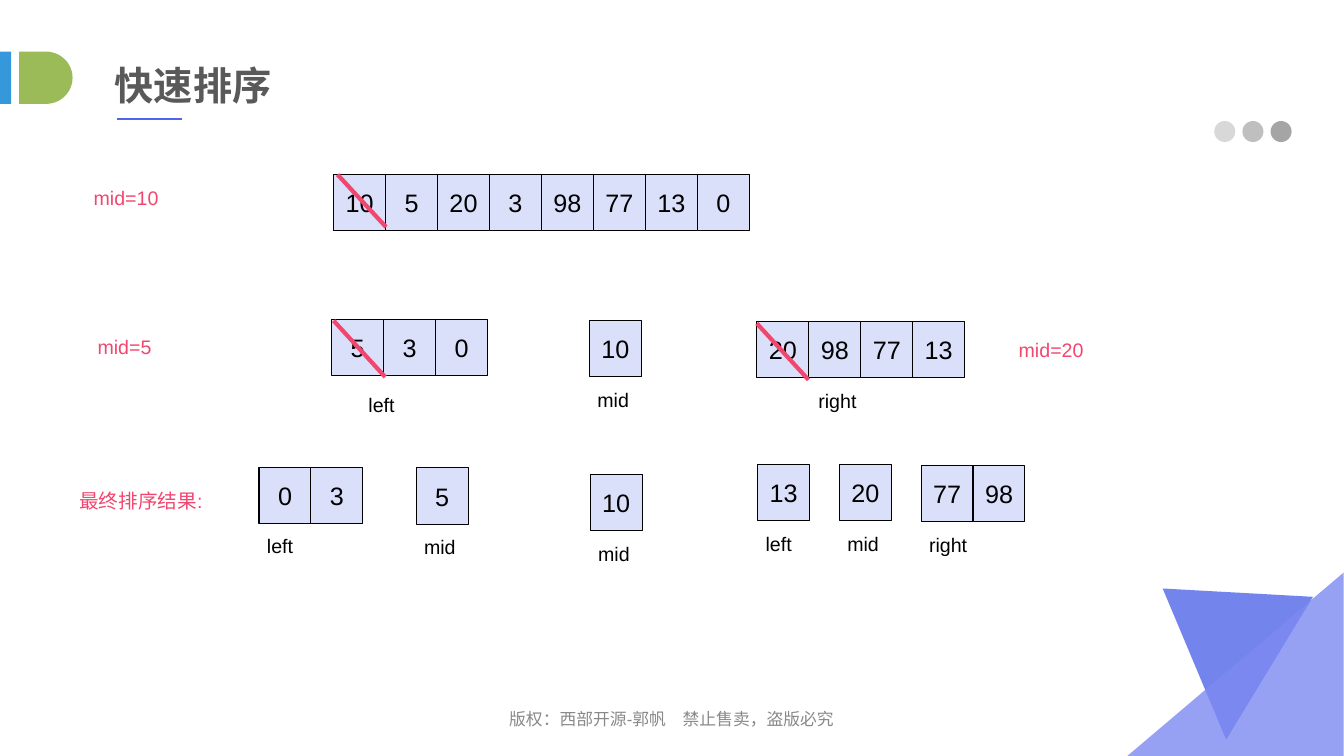
from pptx import Presentation
from pptx.dml.color import RGBColor
from pptx.enum.shapes import MSO_CONNECTOR, MSO_SHAPE
from pptx.enum.text import MSO_ANCHOR, MSO_AUTO_SIZE, PP_ALIGN
from pptx.oxml.ns import qn
from pptx.oxml.xmlchemy import OxmlElement
from pptx.util import Cm, Pt

RECTANGLE, DELAY, OVAL = MSO_SHAPE.RECTANGLE, MSO_SHAPE.FLOWCHART_DELAY, MSO_SHAPE.OVAL
STRAIGHT = MSO_CONNECTOR.STRAIGHT
LEFT, CENTER = PP_ALIGN.LEFT, PP_ALIGN.CENTER
TOP, MIDDLE = MSO_ANCHOR.TOP, MSO_ANCHOR.MIDDLE
NO_AUTOFIT = MSO_AUTO_SIZE.NONE
TITLE_ONLY = 5

BLACK = RGBColor(0x00, 0x00, 0x00)
TITLE_GRAY = RGBColor(0x59, 0x59, 0x59)
FOOTER_GRAY = RGBColor(0x89, 0x89, 0x89)
PINK = RGBColor(0xF1, 0x47, 0x6F)
CELL_BLUE = RGBColor(0xDB, 0xE0, 0xFA)
INDIGO = RGBColor(0x50, 0x66, 0xE9)
LAVENDER = RGBColor(0x7E, 0x8A, 0xF1)
SKY = RGBColor(0x34, 0x98, 0xDB)
GREEN = RGBColor(0x9B, 0xBB, 0x59)
DOT_GRAYS = [RGBColor(gray, gray, gray) for gray in (0xD8, 0xBF, 0xA5)]

LATIN_FONT, CHINESE_FONT = "Arial", "Noto Sans CJK SC"
CELL_WIDTH, CELL_HEIGHT = 1.31, 1.42
LABEL_OFFSET = (-0.05, 1.57)

# Runs of cells: left, top, values, and optional label, label offset,
# and strike (offset x, offset y, width, height) over the pivot
CELL_RUNS = [
    (8.41, 4.4, [10, 5, 20, 3, 98, 77, 13, 0], dict(strike=(0.1, 0, 1.22, 1.32))),
    (8.36, 8.05, [5, 3, 0],
     dict(label="left", label_offset=(0.68, 1.73), strike=(0.05, 0.03, 1.3, 1.42))),
    (14.86, 8.08, [10], dict(label="mid")),
    (19.08, 8.1, [20, 98, 77, 13],
     dict(label="right", label_offset=(1.3, 1.57), strike=(0, 0.05, 1.3, 1.42))),
    (6.53, 11.77, [0, 3], dict(label="left")),
    (10.49, 11.79, [5], dict(label="mid")),
    (14.88, 11.96, [10], dict(label="mid")),
    (19.1, 11.7, [13], dict(label="left")),
    (21.16, 11.7, [20], dict(label="mid")),
    (23.22, 11.73, [77, 98], dict(label="right")),
]
NOTES = [
    (2.11, 4.57, "mid=10"),
    (2.21, 8.31, "mid=5"),
    (25.43, 8.38, "mid=20"),
    (1.75, 12.19, "最终排序结果:"),
]


def write_text(shape, text, size=14, color=BLACK, font=LATIN_FONT, bold=False,
               align=LEFT, anchor=TOP, wrap=True, line_spacing=None):
    frame = shape.text_frame
    frame.auto_size = NO_AUTOFIT
    frame.word_wrap = wrap
    frame.vertical_anchor = anchor
    paragraph = frame.paragraphs[0]
    paragraph.alignment = align
    if line_spacing:
        paragraph.line_spacing = line_spacing
    run = paragraph.add_run()
    run.text = text
    run.font.size = Pt(size)
    run.font.bold = bold
    run.font.color.rgb = color
    run.font.name = font
    east_asian = OxmlElement("a:ea")
    east_asian.set("typeface", CHINESE_FONT)
    run._r.get_or_add_rPr().append(east_asian)


def add_text(shapes, left, top, width, height, text, **text_format):
    box = shapes.add_textbox(Cm(left), Cm(top), Cm(width), Cm(height))
    write_text(box, text, **text_format)


def paint(shape, fill, line=None):
    shape.shadow.inherit = False
    shape.fill.solid()
    shape.fill.fore_color.rgb = fill
    if line is None:
        shape.line.fill.background()
    else:
        shape.line.color.rgb = line
        shape.line.width = Pt(0.75)


def add_block(shapes, kind, left, top, width, height, fill, line=None):
    shape = shapes.add_shape(kind, Cm(left), Cm(top), Cm(width), Cm(height))
    paint(shape, fill, line)
    return shape


def add_line(shapes, left, top, width, height, color, weight):
    connector = shapes.add_connector(
        STRAIGHT, Cm(left), Cm(top), Cm(left + width), Cm(top + height))
    connector.line.color.rgb = color
    connector.line.width = Pt(weight)
    connector._element.spPr.append(OxmlElement("a:effectLst"))


def add_header(slide, left, top):
    # Coloured tab at the slide edge
    add_block(slide.shapes, RECTANGLE, left, top, 0.28, 1.32, SKY)
    add_block(slide.shapes, DELAY, left + 0.48, top, 1.35, 1.32, GREEN)
    # Title with its underline
    title = slide.shapes.title
    title.left, title.top = Cm(left + 2.64), Cm(top + 0.02)
    title.width, title.height = Cm(12.19), Cm(1.63)
    write_text(title, "快速排序", size=28, color=TITLE_GRAY, font=CHINESE_FONT,
               bold=True, anchor=MIDDLE)
    add_line(slide.shapes, left + 2.95, top + 1.7, 1.65, 0, INDIGO, 1.5)


def add_dots(slide, left, top):
    dots = slide.shapes.add_group_shape().shapes
    for index, gray in enumerate(DOT_GRAYS):
        add_block(dots, OVAL, left + index * 0.71, top, 0.53, 0.53, gray)


def add_cell_run(slide, left, top, values, label=None, label_offset=LABEL_OFFSET,
                 strike=None):
    shapes = slide.shapes.add_group_shape().shapes
    for index, value in enumerate(values):
        cell = add_block(shapes, RECTANGLE, left + index * CELL_WIDTH, top,
                         CELL_WIDTH, CELL_HEIGHT, CELL_BLUE, BLACK)
        write_text(cell, str(value), size=18, align=CENTER, anchor=MIDDLE, wrap=False)
    if strike:
        offset_x, offset_y, width, height = strike
        add_line(shapes, left + offset_x, top + offset_y, width, height, PINK, 3)
    if label:
        offset_x, offset_y = label_offset
        add_text(shapes, left + offset_x, top + offset_y, 3.25, 0.86, label)


def add_triangle(slide, left, top, corners, color):
    points = [(Cm(left + x), Cm(top + y)) for x, y in corners]
    builder = slide.shapes.build_freeform(*points[0], scale=1.0)
    builder.add_line_segments(points[1:], close=True)
    triangle = builder.convert_to_shape()
    paint(triangle, color)
    alpha = OxmlElement("a:alpha")
    alpha.set("val", "80000")
    triangle._element.spPr.find(qn("a:solidFill"))[0].append(alpha)


def add_corner(slide, left, top):
    add_triangle(slide, left, top, [(4.68, 0.61), (2.49, 4.21), (0.89, 0.4)], INDIGO)
    add_triangle(slide, left, top, [(5.45, 4.62), (0, 4.62), (5.45, 0)], LAVENDER)


def add_footer(slide, left, top):
    add_text(slide.shapes, left, top, 11, 0.89, "版权：西部开源-郭帆　禁止售卖，盗版必究",
             size=12, color=FOOTER_GRAY, align=CENTER, anchor=MIDDLE, line_spacing=1.2)


def main():
    presentation = Presentation()
    presentation.slide_width, presentation.slide_height = Cm(33.88), Cm(19.05)
    slide = presentation.slides.add_slide(presentation.slide_layouts[TITLE_ONLY])

    add_footer(slide, 11.43, 17.63)
    add_corner(slide, 28.42, 14.43)
    add_header(slide, 0, 1.3)
    add_dots(slide, 30.61, 3.05)

    # Sorting steps
    for left, top, values, options in CELL_RUNS:
        add_cell_run(slide, left, top, values, **options)
    for left, top, text in NOTES:
        add_text(slide.shapes, left, top, 4.27, 0.86, text, color=PINK)

    presentation.save("out.pptx")


if __name__ == "__main__":
    main()
